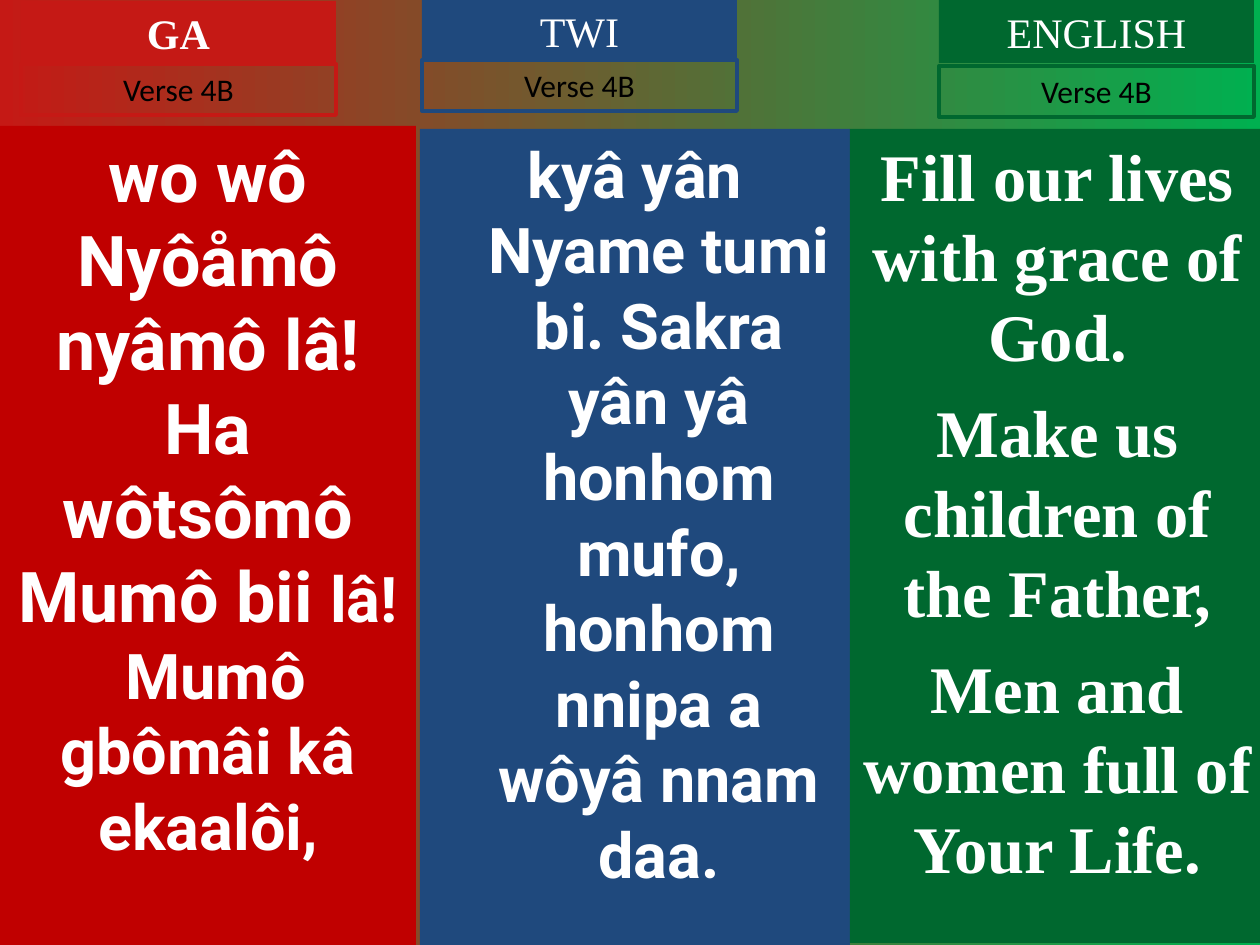
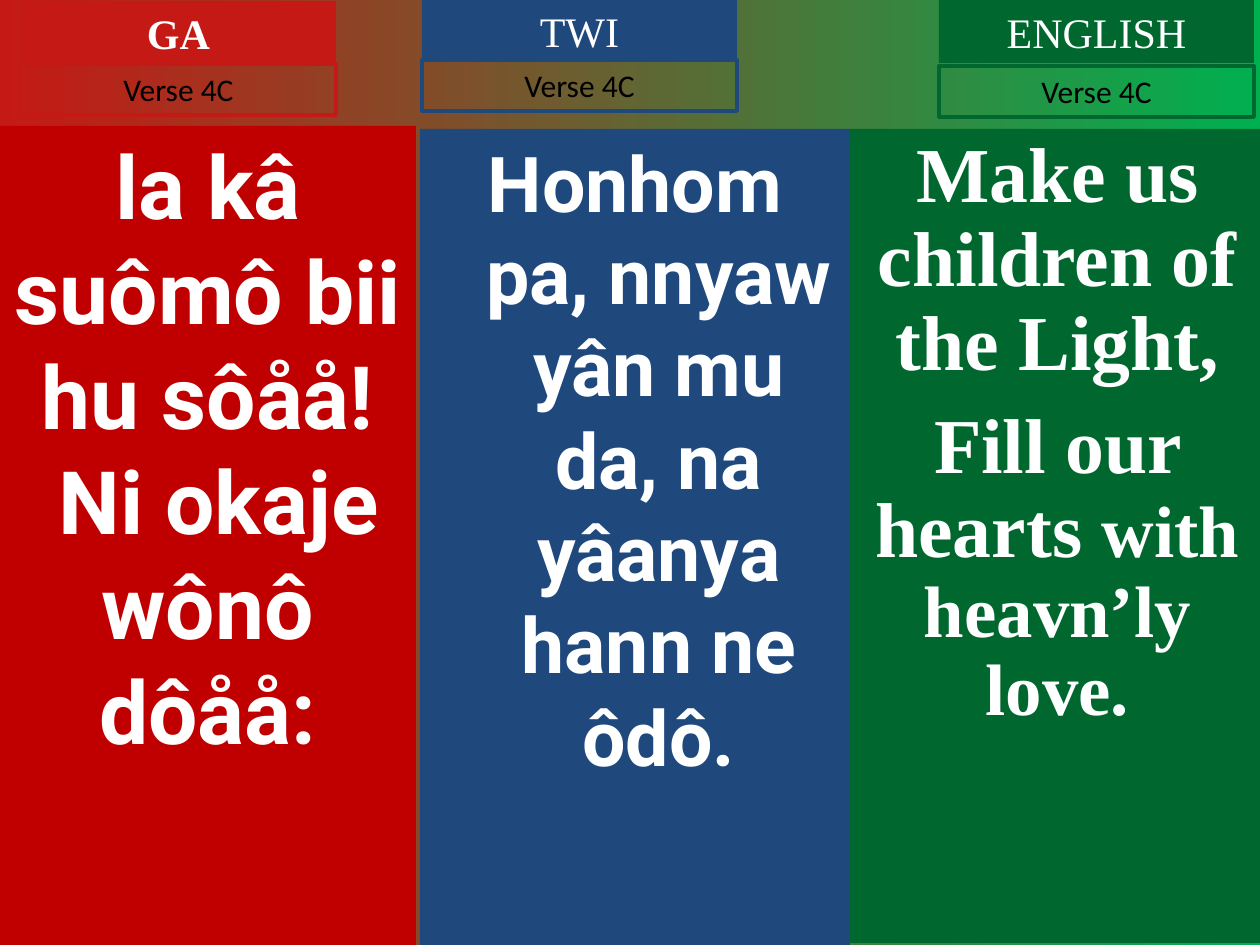
from pptx import Presentation
from pptx.dml.color import RGBColor
from pptx.enum.shapes import MSO_SHAPE
from pptx.enum.text import MSO_ANCHOR, MSO_AUTO_SIZE, PP_ALIGN
from pptx.util import Emu, Inches, Pt

SCALE = 914400 / 126
HUES = {
    "red": "C00000", "rose": "C51915", "blue": "1F497D", "green": "00682F",
    "lime": "00B050", "white": "FFFFFF", "black": "000000",
}
SERIF, SANS, PLAIN = "Times New Roman", "Roboto", "Calibri"


def hue(name):
    return RGBColor.from_string(HUES[name])


def panel(slide, box, paras, font, ink="white", bold=False, fill=None, edge=None,
          grow=False, gap=0, lead=None, hang=0):
    """Draw a rectangle; each paragraph is a list of (text, size) runs."""
    shape = slide.shapes.add_shape(
        MSO_SHAPE.RECTANGLE, *[Emu(round(n * SCALE)) for n in box])
    shape.shadow.inherit = False
    if fill:
        shape.fill.solid()
        shape.fill.fore_color.rgb = hue(fill)
    else:
        shape.fill.background()
    if edge:
        shape.line.color.rgb = hue(edge)
        shape.line.width = Pt(2.25)
    else:
        shape.line.fill.background()
    frame = shape.text_frame
    frame.word_wrap = True
    frame.vertical_anchor = MSO_ANCHOR.TOP
    frame.auto_size = MSO_AUTO_SIZE.SHAPE_TO_FIT_TEXT if grow else MSO_AUTO_SIZE.NONE
    for i, runs in enumerate(paras):
        para = frame.add_paragraph() if i else frame.paragraphs[0]
        para.alignment = PP_ALIGN.CENTER
        para.line_spacing = lead
        if i:
            para.space_before = Pt(gap)
        if hang:
            props = para._p.get_or_add_pPr()
            props.set("marL", str(Inches(hang)))
            props.set("indent", str(-Inches(hang)))
        for text, size in runs:
            run = para.add_run()
            run.text = text
            run.font.size = Pt(size)
            run.font.name = font
            run.font.bold = bold
            run.font.color.rgb = hue(ink)


# Title, title colour, title bold, left, title top, verse top
HEADS = [
    ("GA", "rose", True, 21, 1, 64),
    ("TWI", "blue", False, 422, -1, 60),
    ("ENGLISH", "green", False, 939, 0, 66),
]
# Body box, fill, font, hanging indent in inches
BODIES = [
    ((0, 126, 416, 819), "red", SANS, 0),
    ((420, 129, 430, 816), "blue", SANS, 0.38),
    ((850, 129, 415, 814), "green", SERIF, 0),
]
# Verse name, then (paragraphs, paragraph gap, line spacing) for each tongue
VERSES = [
    ("Verse 4B", [
        ([[("wo wô Nyôåmô nyâmô lâ!", 40)],
          [("Ha wôtsômô Mumô bii ", 40), ("lâ!", 36)],
          [(" Mumô gbômâi kâ ekaalôi,", 36)]], 0, None),
        ([[("kyâ yân Nyame tumi bi. Sakra yân yâ honhom mufo, "
            "honhom nnipa a wôyâ nnam daa.", 36)]], 0, None),
        ([[("Fill our lives with grace of God.", 38)],
          [("Make us children of the Father,", 38)],
          [("Men and women full of Your Life.", 38)]], 9.5, None),
    ]),
    ("Verse 4C", [
        ([[("la kâ suômô bii hu sôåå!", 50)],
          [(" Ni okaje wônô dôåå:", 50)]], 0, None),
        ([[("Honhom pa, nnyaw yân mu da, na yâanya hann ne ôdô.", 44)]], 0, None),
        ([[("Make us children of the Light,", 44.4)],
          [("Fill our hearts ", 44.4), ("with heavn’ly love.", 41.6)]], 11.2, 0.9),
    ]),
]

deck = Presentation()
deck.slide_width = Emu(round(1260 * SCALE))
deck.slide_height = Emu(round(945 * SCALE))

for verse, texts in VERSES:
    slide = deck.slides.add_slide(deck.slide_layouts[6])
    back = slide.background.fill
    back.gradient()
    back.gradient_angle = 0
    for stop, name, spot in zip(back.gradient_stops, ("rose", "lime"), (0, 1)):
        stop.color.rgb = hue(name)
        stop.position = spot

    for (box, fill, font, hang), (paras, gap, lead) in zip(BODIES, texts):
        panel(slide, box, paras, font, bold=True, fill=fill,
              gap=gap, lead=lead, hang=hang)
    for title, tint, bold, left, top, low in HEADS:
        panel(slide, (left, top, 315, 63), [[(title, 24)]], SERIF,
              bold=bold, fill=tint, grow=True)
        panel(slide, (left, low, 315, 51), [[(verse, 18)]], PLAIN,
              ink="black", edge=tint, grow=True)

deck.save("out.pptx")
